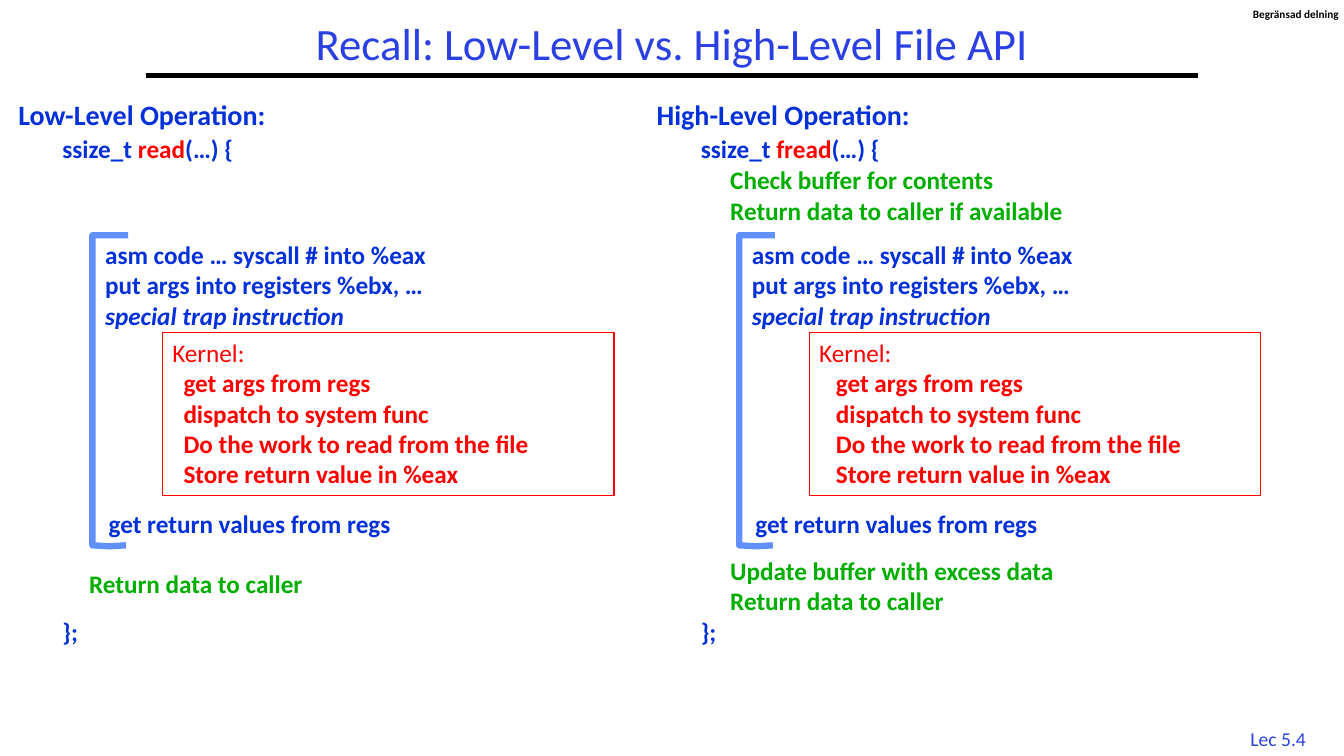
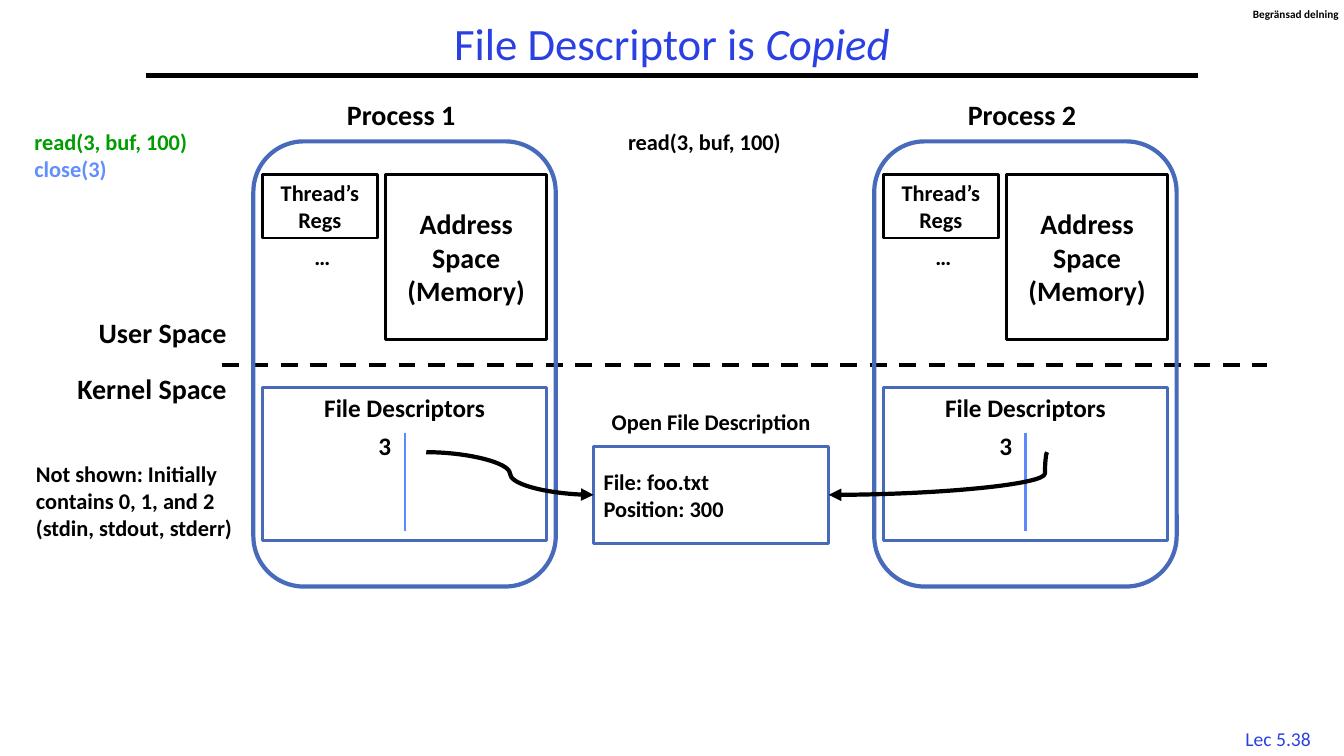
from lxml.etree import SubElement
from pptx import Presentation
from pptx.dml.color import RGBColor
from pptx.enum.dml import MSO_LINE
from pptx.enum.shapes import MSO_CONNECTOR as Connector, MSO_SHAPE as Shape
from pptx.enum.text import MSO_ANCHOR as Anchor, PP_ALIGN as Align
from pptx.oxml.ns import qn
from pptx.util import Pt

FONT = "Calibri"
BLACK = RGBColor(0x00, 0x00, 0x00)
WHITE = RGBColor(0xFF, 0xFF, 0xFF)
TITLE_BLUE = RGBColor(0x2A, 0x40, 0xE2)
CODE_BLUE = RGBColor(0x03, 0x30, 0xD8)
LIGHT_BLUE = RGBColor(0x61, 0x8F, 0xFD)
DIVIDER_BLUE = RGBColor(0x5B, 0x8A, 0xFB)
FRAME_BLUE = RGBColor(0x48, 0x6A, 0xBB)
RED = RGBColor(0xFF, 0x00, 0x00)
NOTE_GREEN = RGBColor(0x00, 0xAE, 0x00)
CALL_GREEN = RGBColor(0x00, 0x9D, 0x00)

TRAP_LINES = [
    "asm code … syscall # into %eax",
    "put args into registers %ebx, …",
    [("special trap instruction", {"italic": True})],
]
KERNEL_STEPS = [
    "get args from regs",
    "dispatch to system func",
    "Do the work to read from the file",
    "Store return value in %eax",
]
PROCESS_GAP = 443.5


def write(frame, lines, size=18, color=BLACK, bold=True, align=Align.LEFT):
    """Fill a frame; a line is a string or a list of (text, font overrides)."""
    frame.word_wrap = True
    for number, line in enumerate(lines):
        paragraph = frame.add_paragraph() if number else frame.paragraphs[0]
        paragraph.alignment = align
        for text, changes in [(line, {})] if isinstance(line, str) else line:
            run = paragraph.add_run()
            run.text = text
            values = {"name": FONT, "size": Pt(size), "bold": bold, "color": color}
            values.update(changes)
            run.font.color.rgb = values.pop("color")
            for name, value in values.items():
                setattr(run.font, name, value)


def add_text(slide, left, top, width, height, lines, **style):
    label = slide.shapes.add_textbox(Pt(left), Pt(top), Pt(width), Pt(height))
    write(label.text_frame, lines, **style)
    return label


def outline(shape, color, weight):
    shape.line.color.rgb = color
    shape.line.width = Pt(weight)


def add_box(slide, left, top, width, height, color, weight,
            kind=Shape.RECTANGLE, fill=None, anchor=Anchor.MIDDLE):
    box = slide.shapes.add_shape(kind, Pt(left), Pt(top), Pt(width), Pt(height))
    box.shadow.inherit = False
    if fill is None:
        box.fill.background()
    else:
        box.fill.solid()
        box.fill.fore_color.rgb = fill
    outline(box, color, weight)
    box.text_frame.vertical_anchor = anchor
    return box


def add_line(slide, start, end, color=BLACK, weight=3, kind=Connector.STRAIGHT, dash=None):
    line = slide.shapes.add_connector(kind, *map(Pt, start + end))
    outline(line, color, weight)
    if dash:
        line.line.dash_style = dash
    SubElement(line.element.spPr, qn("a:effectLst"))
    return line


def add_pointer(slide, start, target, side, bend=None):
    """Curved arrow from a table entry to a side of the target box."""
    edge = target.left if side == 1 else target.left + target.width
    middle = target.top + target.height // 2
    pointer = add_line(slide, start, (edge / Pt(1), middle / Pt(1)), kind=Connector.CURVE)
    pointer.end_connect(target, side)
    properties = pointer.element.spPr
    SubElement(properties.find(qn("a:ln")), qn("a:tailEnd"), type="triangle")
    if bend is not None:
        adjustments = properties.find(qn("a:prstGeom")).find(qn("a:avLst"))
        SubElement(adjustments, qn("a:gd"), name="adj1", fmla=f"val {bend}")


def add_bracket(slide, left, top, bottom):
    builder = slide.shapes.build_freeform(Pt(left + 25.5), Pt(top))
    corners = [(0, top), (0, bottom), (12, bottom + 0.7), (24, bottom)]
    builder.add_line_segments([(Pt(left + x), Pt(y)) for x, y in corners], close=False)
    bracket = builder.convert_to_shape()
    bracket.shadow.inherit = False
    bracket.fill.background()
    outline(bracket, LIGHT_BLUE, 4.5)


def prepare_layout(deck):
    """Give the title layout its title place, rule and sharing label."""
    layout = deck.slide_layouts.get_by_name("Title Only")
    for holder in list(layout.placeholders):
        if holder.placeholder_format.idx:
            holder.element.getparent().remove(holder.element)
    heading = layout.placeholders[0]
    place = {"left": 104, "top": 12, "width": 752, "height": 42}
    for name, value in place.items():
        setattr(heading, name, Pt(value))
    heading.text_frame.vertical_anchor = Anchor.MIDDLE
    return layout


def furnish_layout(layout, slide):
    """Move the shared rule and label from a slide to its layout."""
    rule = add_line(slide, (104, 54), (856, 54))
    sharing = add_text(slide, 895, 5, 64, 10, ["Begränsad delning"], size=8)
    for margin in ("left", "top", "right", "bottom"):
        setattr(sharing.text_frame, f"margin_{margin}", 0)
    for part in (rule, sharing):
        layout.shapes.element.append(part.element)


def add_slide(deck, layout, title, page):
    slide = deck.slides.add_slide(layout)
    frame = slide.shapes.title.text_frame
    write(frame, [title], size=32, color=TITLE_BLUE, bold=False, align=Align.CENTER)
    frame.paragraphs[0].line_spacing = 0.9
    add_text(slide, 873, 515.5, 80, 24, [f"Lec 5.{page}"], size=14,
             color=TITLE_BLUE, bold=False, align=Align.CENTER)
    return slide


def add_operation(slide, level, call, left, frame_left, step_indent, notes):
    """One column: signature, bracketed system call and green notes."""
    add_text(slide, left, 66, 225, 32, [f"{level}-Level Operation:"],
             size=20, color=CODE_BLUE)
    signature = [("ssize_t ", {}), (call, {"color": RED}), ("(…) {", {})]
    for top, line in ((91.5, signature), (436.5, "};")):
        add_text(slide, left + 31.5, top, 412, 29, [line], color=CODE_BLUE)

    add_text(slide, frame_left + 2, 167.5, 400, 73, TRAP_LINES, color=CODE_BLUE)
    kernel = add_box(slide, frame_left + 50, 237.5, 322.5, 116.5, RED, 1, anchor=Anchor.TOP)
    write(kernel.text_frame, [[("Kernel:", {"bold": False})]] + KERNEL_STEPS, color=RED)
    for step in kernel.text_frame.paragraphs[1:]:
        step._p.get_or_add_pPr().set("marL", str(Pt(step_indent)))
    add_text(slide, frame_left + 4.5, 359.5, 400, 29,
             ["get return values from regs"], color=CODE_BLUE)
    add_bracket(slide, frame_left, 168, 389.5)

    for note_left, top, lines in notes:
        add_text(slide, note_left, top, 400, 29, lines, color=NOTE_GREEN)


def add_process(slide, number, left):
    """A process with its user state above and its descriptor table below."""
    add_text(slide, left + 50.5, 66, 110, 32, [f"Process {number}"],
             size=20, align=Align.CENTER)
    add_box(slide, left, 101, 216, 318, FRAME_BLUE, 3, kind=Shape.ROUNDED_RECTANGLE)
    memory = add_box(slide, left + 94.5, 124.5, 115, 118, BLACK, 2, fill=WHITE)
    write(memory.text_frame, ["Address Space (Memory)"], size=20, align=Align.CENTER)
    registers = add_box(slide, left + 6.5, 124.5, 82, 45.5, BLACK, 2, fill=WHITE)
    write(registers.text_frame, ["Thread’s Regs"], size=16, align=Align.CENTER)
    add_text(slide, left + 36.5, 170, 31, 27, ["…"], size=16)

    table = add_box(slide, left + 6.5, 277, 203, 109, FRAME_BLUE, 2,
                    fill=WHITE, anchor=Anchor.TOP)
    write(table.text_frame, ["File Descriptors"], align=Align.CENTER)
    add_line(slide, (left + 108, 309), (left + 108, 379.5), DIVIDER_BLUE, 1.5)
    add_text(slide, left + 75.5, 303.5, 30, 29, ["3"], align=Align.RIGHT)


def add_api_slide(slide):
    add_operation(slide, "Low", "read", 6, 66, 8,
                  [(56.5, 402.5, ["Return data to caller"])])
    add_operation(slide, "High", "fread", 462, 528, 12, [
        (514.5, 114, ["Check buffer for contents", "Return data to caller if available"]),
        (514.5, 393, ["Update buffer with excess data", "Return data to caller"]),
    ])


def add_descriptor_slide(slide):
    first = 181
    second = first + PROCESS_GAP
    add_line(slide, (158.5, 260.5), (905, 260.5), dash=MSO_LINE.DASH)
    for number, left in enumerate((first, second), 1):
        add_process(slide, number, left)
    for top, space in ((222, "User Space"), (261.5, "Kernel Space")):
        add_text(slide, 19, top, 150, 32, [space], size=20, align=Align.RIGHT)

    add_text(slide, 417, 288, 182, 27, ["Open File Description"],
             size=16, align=Align.CENTER)
    description = add_box(slide, 424, 319, 168, 69, FRAME_BLUE, 2, fill=WHITE)
    write(description.text_frame, ["File: foo.txt", "Position: 300"], size=16)
    add_pointer(slide, (first + 123.5, 323), description, 1)
    add_pointer(slide, (second + 123.5, 323), description, 3, bend=1000)

    add_text(slide, 18.5, 325, 159, 85,
             ["Not shown: Initially contains 0, 1, and 2 (stdin, stdout, stderr)"], size=16)
    call = "read(3, buf, 100)"
    add_text(slide, 17.5, 88, 140, 46,
             [[(call, {"color": CALL_GREEN})], [("close(3)", {"color": LIGHT_BLUE})]], size=16)
    add_text(slide, 441.5, 88, 140, 27, [call], size=16)


def main():
    deck = Presentation()
    deck.slide_width, deck.slide_height = Pt(960), Pt(540)
    layout = prepare_layout(deck)
    api = add_slide(deck, layout, "Recall: Low-Level vs. High-Level File API", 4)
    furnish_layout(layout, api)
    add_api_slide(api)
    copied = [("File Descriptor is ", {}), ("Copied", {"italic": True})]
    add_descriptor_slide(add_slide(deck, layout, copied, 38))
    deck.save("out.pptx")


if __name__ == "__main__":
    main()
